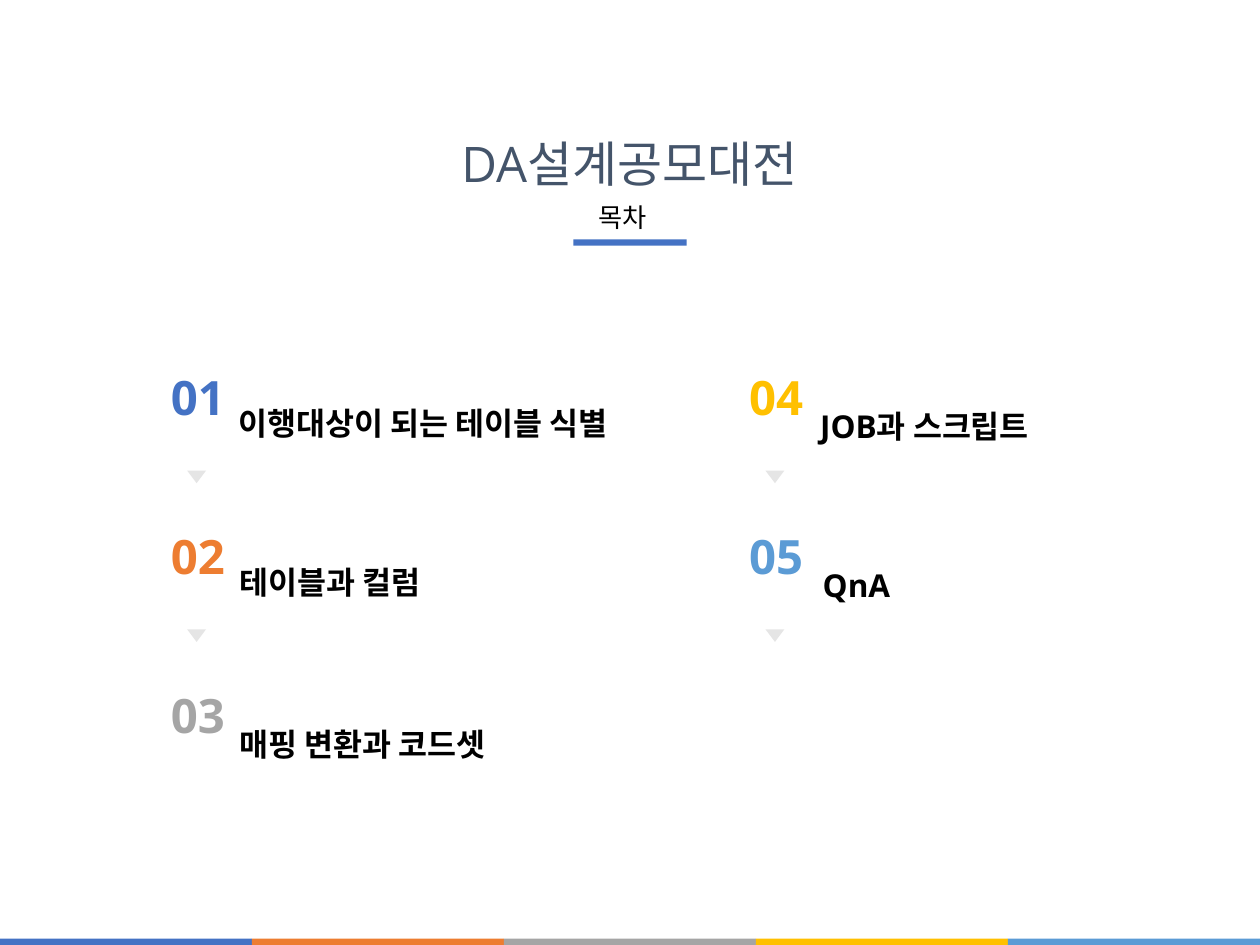
from lxml import etree
from pptx import Presentation
from pptx.dml.color import RGBColor
from pptx.enum.shapes import MSO_SHAPE
from pptx.enum.text import MSO_ANCHOR, MSO_AUTO_SIZE, PP_ALIGN
from pptx.oxml.ns import qn
from pptx.util import Inches, Pt

COLORS = {
    "blue": "4472C4", "orange": "ED7D31", "gray": "A5A5A5",
    "yellow": "FFC000", "sky": "5B9BD5",
    "title": "44546A", "text": "000000", "arrow": "E5E5E5",
}
LATIN_FONT, KOREAN_FONT = "Open Sans", "Noto Sans CJK KR"
ROW_PITCH = 1.26

# Number, number colour, label, label offset from the row's corner
LEFT_ITEMS = [
    ("01", "blue", "이행대상이 되는 테이블 식별", 0.7, 0.28),
    ("02", "orange", "테이블과 컬럼", 0.71, 0.28),
    ("03", "gray", "매핑 변환과 코드셋", 0.71, 0.3),
]
RIGHT_ITEMS = [
    ("04", "yellow", "JOB과 스크립트", 0.73, 0.3),
    ("05", "sky", "QnA", 0.75, 0.3),
]


def add_text(slide, box, text, size, color, bold=False, centered=True,
             middle=False, insets=(0, 0), grow=True, line_spacing=None, before=None):
    shape = slide.shapes.add_textbox(*map(Inches, box))
    frame = shape.text_frame
    frame.word_wrap = True
    frame.auto_size = MSO_AUTO_SIZE.SHAPE_TO_FIT_TEXT if grow else MSO_AUTO_SIZE.NONE
    frame.vertical_anchor = MSO_ANCHOR.MIDDLE if middle else MSO_ANCHOR.TOP
    frame.margin_left = frame.margin_right = Inches(insets[0])
    frame.margin_top = frame.margin_bottom = Inches(insets[1])
    paragraph = frame.paragraphs[0]
    paragraph.alignment = PP_ALIGN.CENTER if centered else PP_ALIGN.LEFT
    if line_spacing:
        paragraph.line_spacing = line_spacing
    if before:
        paragraph.space_before = Pt(before)
    run = paragraph.add_run()
    run.text = text
    run.font.size = Pt(size)
    run.font.bold = bold
    run.font.name = LATIN_FONT
    run.font.color.rgb = RGBColor.from_string(COLORS[color])
    # Korean glyphs take the East Asian typeface
    east_asian = etree.SubElement(run.font._element, qn("a:ea"))
    east_asian.set("typeface", KOREAN_FONT)


def add_block(slide, kind, box, color):
    shape = slide.shapes.add_shape(kind, *map(Inches, box))
    shape.shadow.inherit = False
    shape.fill.solid()
    shape.fill.fore_color.rgb = RGBColor.from_string(COLORS[color])
    shape.line.fill.background()
    return shape


def add_header(slide, left, top, width):
    add_text(slide, (left, top, width, 0.56), "DA설계공모대전", 28, "title",
             middle=True, insets=(0.09, 0.04))
    add_block(slide, MSO_SHAPE.RECTANGLE, (left + 1.49, top + 0.89, 0.9, 0.05), "blue")
    add_text(slide, (left + 1.4, top + 0.47, 0.96, 0.49), "목차", 15, "text",
             insets=(0.24, 0.12), before=3)


def add_contents_column(slide, left, top, items, arrow_count=2):
    for row, (number, color, label, offset_x, offset_y) in enumerate(items):
        row_top = top + row * ROW_PITCH
        add_text(slide, (left, row_top, 0.9, 0.76), number, 27, color,
                 bold=True, middle=True, grow=False)
        add_text(slide, (left + offset_x, row_top + offset_y, 3.87, 0.45), label, 18,
                 "text", bold=True, centered=False, insets=(0.07, 0.04),
                 line_spacing=1.4, before=20)
    # Down arrows below the rows
    for row in range(arrow_count):
        arrow = add_block(slide, MSO_SHAPE.RIGHT_ARROW,
                          (left + 0.39, top + 0.94 + row * ROW_PITCH, 0.1, 0.15), "arrow")
        arrow.rotation = 90
        arrow.adjustments[0] = 0.32
        arrow.adjustments[1] = 1


def add_footer_strip(slide, left, top, width, height):
    names = ["blue", "orange", "gray", "yellow", "sky"]
    step = width / len(names)
    for index, name in enumerate(names):
        add_block(slide, MSO_SHAPE.RECTANGLE,
                  (left + index * step, top, step, height), name)


def main():
    presentation = Presentation()
    presentation.slide_width = Inches(10)
    presentation.slide_height = Inches(7.5)
    slide = presentation.slides.add_slide(presentation.slide_layouts[6])
    add_header(slide, 3.06, 1.01, 3.87)
    add_contents_column(slide, 1.12, 2.77, LEFT_ITEMS)
    add_contents_column(slide, 5.71, 2.77, RIGHT_ITEMS)
    add_footer_strip(slide, 0, 7.45, 10, 0.05)
    presentation.save("out.pptx")


if __name__ == "__main__":
    main()
